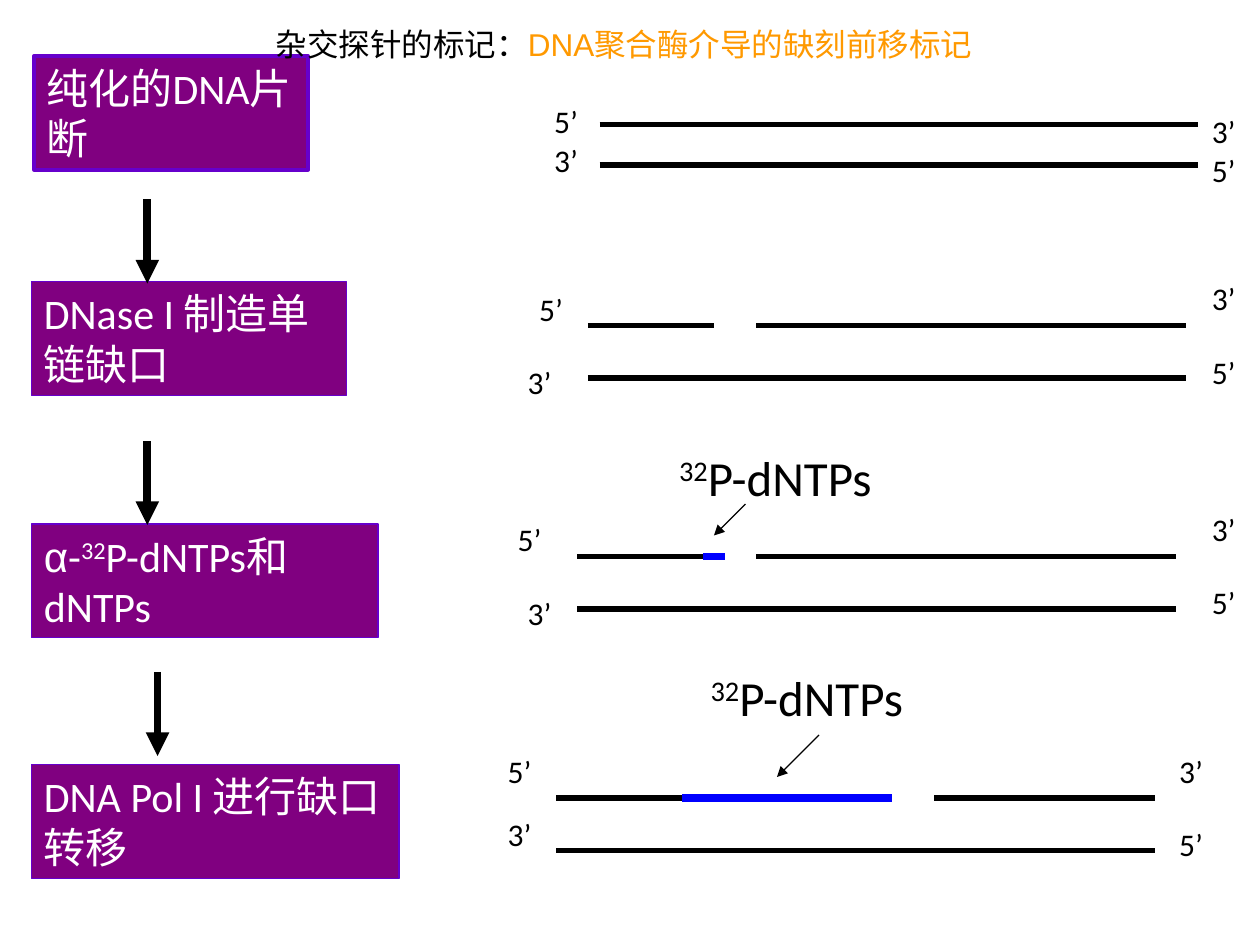
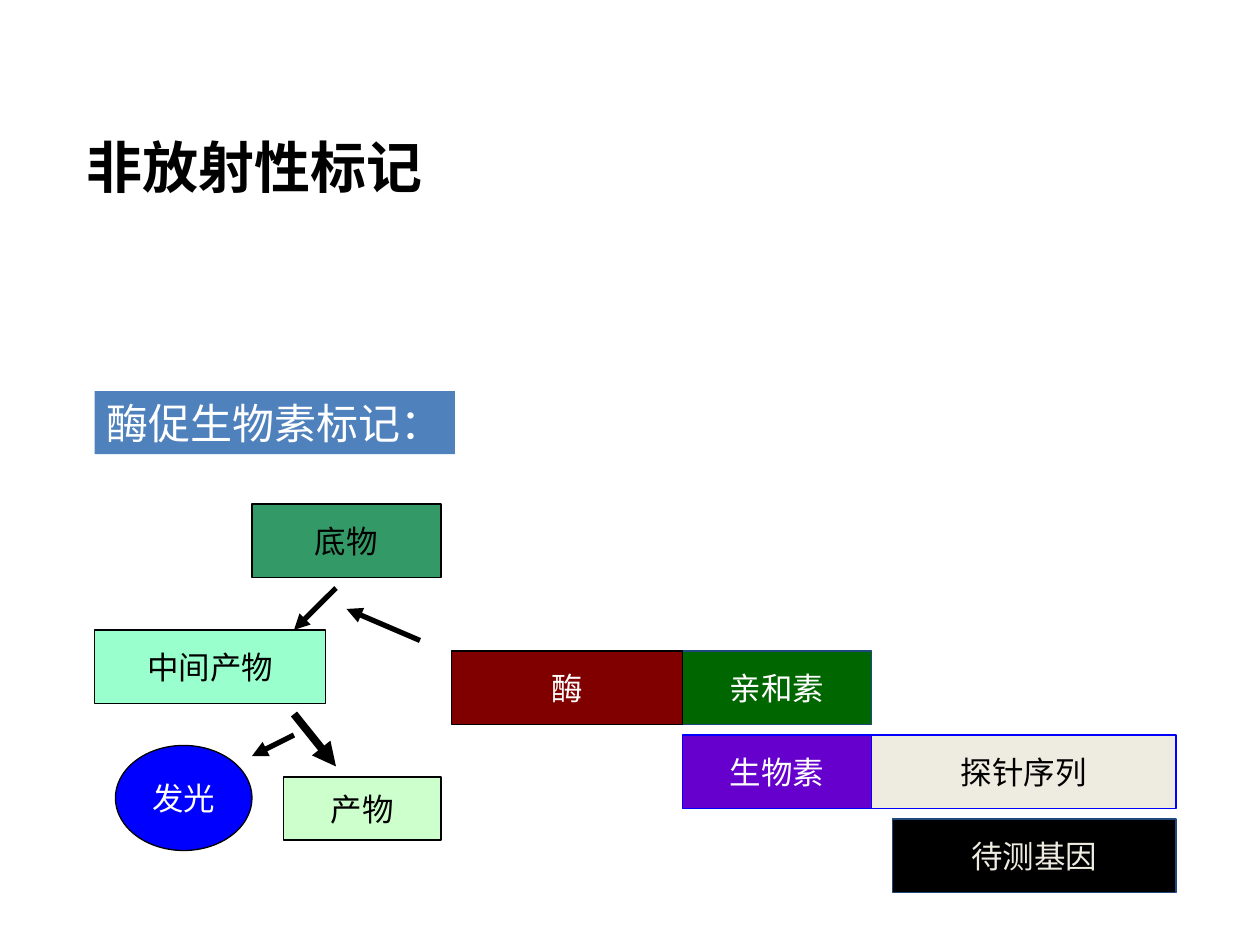
from itertools import chain

from lxml.etree import SubElement
from pptx import Presentation
from pptx.dml.color import RGBColor
from pptx.enum.shapes import MSO_CONNECTOR, MSO_SHAPE
from pptx.enum.text import MSO_ANCHOR, MSO_AUTO_SIZE, PP_ALIGN
from pptx.oxml import parse_xml
from pptx.oxml.ns import nsdecls, qn
from pptx.util import Pt

BLACK, WHITE, BLUE = "000000", "FFFFFF", "0000FF"
PURPLE, VIOLET, ORANGE = "800080", "6600CC", "FF9900"
NAVY, CREAM, BANNER = "1F497D", "EEECE1", "4F81BD"
STRAND_LENGTH = 342
LABEL_SIZE = (28, 28.8)

STEPS = [
    ((19.5, 32, 156.5, 65), 2.25, [("纯化的DNA片断", {})]),
    ((18, 161, 180, 65), 0.75, [("DNase I 制造单链缺口", {})]),
    ((18, 299.5, 198, 65), 0.75, [
        ("α", {"font": "Arial"}), ("-", {}), ("32", {"raised": True}), ("P-dNTPs和dNTPs", {})]),
    ((18, 437, 210, 65), 0.75, [("DNA Pol I 进行缺口转移", {})]),
]
STEP_ARROWS = [(84.2, 114), (84.2, 252), (90, 384)]

DUPLEXES = [
    {"left": 342.7, "top": 71.3, "bottom": 94.3, "pieces": [(0, STRAND_LENGTH)], "new": [],
     "five": [(309.6, 54.7), (685.4, 82.8)], "three": [(309.6, 77), (685.4, 60.5)]},
    {"left": 336, "top": 186, "bottom": 216, "pieces": [(0, 72), (96, STRAND_LENGTH)], "new": [],
     "five": [(301, 162), (685.4, 198)], "three": [(294.5, 203.8), (685.4, 156)]},
    {"left": 330, "top": 318, "bottom": 348, "pieces": [(0, 72), (102, STRAND_LENGTH)],
     "new": [(72, 84)],
     "five": [(288.7, 293.8), (685.4, 329.8)], "three": [(294.5, 336), (685.4, 288)]},
    {"left": 318, "top": 456, "bottom": 486, "pieces": [(0, 72), (216, STRAND_LENGTH)],
     "new": [(72, 192)],
     "five": [(283, 426), (666.7, 468)], "three": [(283, 462), (666.7, 426)]},
]
NUCLEOTIDES = [
    ((381, 252, 125.3, 41), (426, 288), (408, 306)),
    ((399, 378, 125.3, 41), (468, 420), (444, 444)),
]

REAGENTS = [
    ("生物素", (390, 420, 108, 42), VIOLET, BLUE, WHITE),
    ("探针序列", (498, 420, 174, 42), CREAM, BLUE, BLACK),
    ("待测基因", (510, 468, 162, 42), BLACK, NAVY, CREAM),
    ("亲和素", (390, 372, 108, 42), "006600", NAVY, WHITE),
    ("酶", (258, 372, 132, 42), "800000", BLACK, WHITE),
    ("底物", (144, 288, 108, 42), "339966", BLACK, BLACK),
    ("中间产物", (54, 360, 132, 42), "99FFCC", BLACK, BLACK),
    ("产物", (162, 444, 90, 36), "CCFFCC", BLACK, BLACK),
]
REACTION_ARROWS = [
    ((192, 336), (168, 360), 3),
    ((168, 408), (192, 438), 4.5),
    ((168, 420), (144, 432), 3),
    ((240, 366), (198, 348), 3),
]


def color(value):
    """Turn a hex string into a colour."""
    return RGBColor.from_string(value)


def write_span(para, text, size, ink, font="Calibri", bold=False, raised=False):
    """Append one formatted run to a paragraph."""
    span = para.add_run()
    span.text = text
    span.font.size = Pt(size)
    span.font.name = font
    span.font.bold = bold
    span.font.color.rgb = color(ink)
    if raised:
        span.font._element.set("baseline", "30000")
    return span


def shade_span(span):
    """Give a run a soft shadow behind its letters."""
    effects = parse_xml(
        f'<a:effectLst {nsdecls("a")}><a:outerShdw blurRad="38100" dist="38100" dir="2700000">'
        '<a:srgbClr val="C0C0C0"/></a:outerShdw></a:effectLst>')
    span.font._element.find(qn("a:solidFill")).addnext(effects)


def place_title(page, area, align, anchor):
    """Move the title placeholder and return its paragraph."""
    title = page.shapes.title
    title.left, title.top, title.width, title.height = map(Pt, area)
    frame = title.text_frame
    frame.word_wrap = True
    frame.auto_size = MSO_AUTO_SIZE.NONE
    frame.vertical_anchor = anchor
    para = frame.paragraphs[0]
    para.alignment = align
    return para


def add_label(page, area, spans, size):
    """Add an unfilled text box whose lines do not wrap."""
    frame = page.shapes.add_textbox(*map(Pt, area)).text_frame
    frame.word_wrap = False
    for text, style in spans:
        write_span(frame.paragraphs[0], text, size, BLACK, **style)


def add_block(page, area, fill, edge=None, edge_width=0.75, kind=MSO_SHAPE.RECTANGLE,
              wrap=False, align=PP_ALIGN.CENTER, anchor=MSO_ANCHOR.MIDDLE):
    """Add a filled shape and return its paragraph."""
    box = page.shapes.add_shape(kind, *map(Pt, area))
    box.shadow.inherit = False
    box.fill.solid()
    box.fill.fore_color.rgb = color(fill)
    if edge:
        box.line.color.rgb = color(edge)
        box.line.width = Pt(edge_width)
    else:
        box.line.fill.background()
    frame = box.text_frame
    frame.word_wrap = wrap
    frame.vertical_anchor = anchor
    para = frame.paragraphs[0]
    para.alignment = align
    return para


def add_line(page, start, end, width, ink=BLACK, arrow=False):
    """Draw a straight line, with an arrowhead at its end if asked."""
    line = page.shapes.add_connector(MSO_CONNECTOR.STRAIGHT, *map(Pt, chain(start, end)))
    line.line.color.rgb = color(ink)
    line.line.width = Pt(width)
    if arrow:
        SubElement(line.line._get_or_add_ln(), qn("a:tailEnd"), type="triangle")
    SubElement(line._element.spPr, qn("a:effectLst"))


def add_duplex(page, duplex):
    """Draw a double strand with its labelled ends."""
    left, top, bottom = duplex["left"], duplex["top"], duplex["bottom"]
    add_line(page, (left, bottom), (left + STRAND_LENGTH, bottom), 3)
    for pieces, width, ink in ((duplex["pieces"], 3, BLACK), (duplex["new"], 4.5, BLUE)):
        for start, end in pieces:
            add_line(page, (left + start, top), (left + end, top), width, ink)
    for text, corners in (("5’", duplex["five"]), ("3’", duplex["three"])):
        for corner in corners:
            add_label(page, corner + LABEL_SIZE, [(text, {})], 18)


def build_nick_translation(page):
    """Build the slide on nick translation labelling."""
    for area, edge_width, spans in STEPS:
        para = add_block(page, area, PURPLE, VIOLET, edge_width, wrap=True,
                         align=PP_ALIGN.LEFT, anchor=MSO_ANCHOR.TOP)
        for text, style in spans:
            write_span(para, text, 24, WHITE, **style)
    for x, y in STEP_ARROWS:
        add_line(page, (x, y), (x, y + 48), 4.5, arrow=True)
    for duplex in DUPLEXES:
        add_duplex(page, duplex)
    for area, start, end in NUCLEOTIDES:
        add_label(page, area, [("32", {"raised": True}), ("P-dNTPs", {})], 28)
        add_line(page, start, end, 0.75, arrow=True)

    para = place_title(page, (150.5, 0, 501, 60), PP_ALIGN.LEFT, MSO_ANCHOR.TOP)
    para.line_spacing = 1.5
    for text, ink, font in (("杂交探针的标记：", BLACK, "Times New Roman"),
                            ("DNA聚合酶", ORANGE, "Arial"),
                            ("介导的缺刻前移标记", ORANGE, "Times New Roman")):
        shade_span(write_span(para, text, 18, ink, font))
    title = page.shapes.title._element
    title.getparent().append(title)


def build_enzyme_labelling(page):
    """Build the slide on non-radioactive labelling."""
    para = place_title(page, (19.5, 77, 252, 36), PP_ALIGN.CENTER, MSO_ANCHOR.MIDDLE)
    write_span(para, "非放射性标记", 32, BLACK, bold=True)
    para = add_block(page, (54, 223.5, 206, 36), BANNER, align=PP_ALIGN.LEFT,
                     anchor=MSO_ANCHOR.TOP)
    write_span(para, "酶促生物素标记：", 24, WHITE)
    for text, area, fill, edge, ink in REAGENTS:
        write_span(add_block(page, area, fill, edge), text, 18, ink)
    glow = add_block(page, (66, 426, 78, 60), BLUE, BLACK, kind=MSO_SHAPE.OVAL)
    write_span(glow, "发光", 18, WHITE)
    for start, end, width in REACTION_ARROWS:
        add_line(page, start, end, width, arrow=True)


def main():
    """Build and save the deck."""
    deck = Presentation()
    deck.slide_width, deck.slide_height = Pt(720), Pt(540)
    title_only = deck.slide_layouts[5]
    for build in (build_nick_translation, build_enzyme_labelling):
        build(deck.slides.add_slide(title_only))
    deck.save("out.pptx")


if __name__ == "__main__":
    main()
